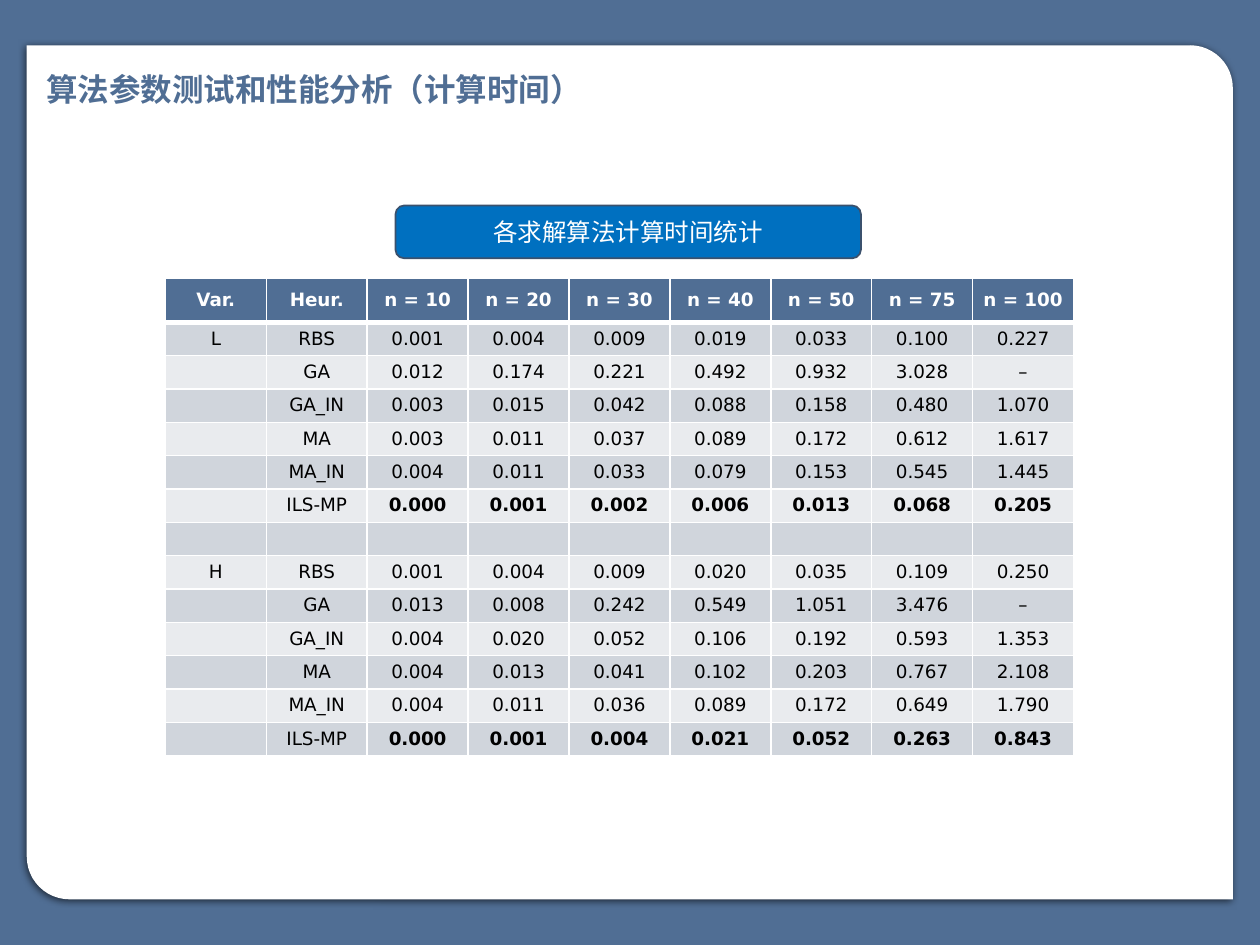
from lxml import etree
from pptx import Presentation
from pptx import util as u
from pptx.dml.color import RGBColor
from pptx.enum import shapes, text
from pptx.oxml import parse_xml
from pptx.oxml.ns import nsdecls, qn

FONT = "DejaVu Sans"
COLORS = {
    "slate": "506E94", "white": "FFFFFF", "black": "000000", "blue": "0070C0",
    "outline": "3B516D", "band_dark": "D0D5DC", "band_light": "E9EBEE",
}
HEADER = ["Var.", "Heur."] + [f"n = {n}" for n in (10, 20, 30, 40, 50, 75, 100)]
BEST = "ILS-MP"
TIMES = {
    "L": """RBS 0.001 0.004 0.009 0.019 0.033 0.100 0.227
            GA 0.012 0.174 0.221 0.492 0.932 3.028 –
            GA_IN 0.003 0.015 0.042 0.088 0.158 0.480 1.070
            MA 0.003 0.011 0.037 0.089 0.172 0.612 1.617
            MA_IN 0.004 0.011 0.033 0.079 0.153 0.545 1.445
            ILS-MP 0.000 0.001 0.002 0.006 0.013 0.068 0.205""",
    "H": """RBS 0.001 0.004 0.009 0.020 0.035 0.109 0.250
            GA 0.013 0.008 0.242 0.549 1.051 3.476 –
            GA_IN 0.004 0.020 0.052 0.106 0.192 0.593 1.353
            MA 0.004 0.013 0.041 0.102 0.203 0.767 2.108
            MA_IN 0.004 0.011 0.036 0.089 0.172 0.649 1.790
            ILS-MP 0.000 0.001 0.004 0.021 0.052 0.263 0.843""",
}


def rgb(name):
    return RGBColor.from_string(COLORS[name])


def points(box):
    return [u.Pt(length) for length in box]


def paint(target, color):
    target.fill.solid()
    target.fill.fore_color.rgb = rgb(color)


def write(paragraph, wording, size, color, bold=False, align=text.PP_ALIGN.CENTER):
    paragraph.text = wording
    paragraph.alignment = align
    font = paragraph.font
    font.name, font.size, font.bold = FONT, u.Pt(size), bold
    font.color.rgb = rgb(color)
    if not wording:  # an empty line keeps its row as low as the others
        end = etree.SubElement(paragraph._p, qn("a:endParaRPr"))
        end.set("sz", str(int(size * 100)))


def add_panel(slide, box):
    panel = slide.shapes.add_shape(shapes.MSO_SHAPE.ROUND_2_DIAG_RECTANGLE, *points(box))
    panel.adjustments[0], panel.adjustments[1] = 0.05, 0
    panel._element.spPr.get_or_add_xfrm().set("flipH", "1")
    paint(panel, "white")
    panel.line.fill.background()
    # Soft shadow below the panel
    panel._element.spPr.append(parse_xml(
        f'<a:effectLst {nsdecls("a")}><a:outerShdw blurRad="{u.Pt(4.5)}" dist="{u.Pt(1.5)}" '
        f'dir="5400000" algn="ctr" rotWithShape="0"><a:srgbClr val="{COLORS["black"]}">'
        '<a:alpha val="63000"/></a:srgbClr></a:outerShdw></a:effectLst>'))


def add_title(slide, box):
    frame = slide.shapes.add_textbox(*points(box)).text_frame
    frame.word_wrap = True
    frame.auto_size = text.MSO_AUTO_SIZE.SHAPE_TO_FIT_TEXT
    write(frame.paragraphs[0], "算法参数测试和性能分析（计算时间）", 18, "slate", True,
          text.PP_ALIGN.LEFT)


def add_caption(slide, box):
    caption = slide.shapes.add_shape(shapes.MSO_SHAPE.ROUNDED_RECTANGLE, *points(box))
    caption.shadow.inherit = False
    paint(caption, "blue")
    caption.line.color.rgb = rgb("outline")
    caption.line.width = u.Pt(1)
    caption.text_frame.vertical_anchor = text.MSO_ANCHOR.MIDDLE
    write(caption.text_frame.paragraphs[0], "各求解算法计算时间统计", 14, "white")


def add_borders(cell, top, bottom):
    for side, width in (("L", 1), ("R", 1), ("T", top), ("B", bottom)):
        cell._tc.get_or_add_tcPr().append(parse_xml(
            f'<a:ln{side} {nsdecls("a")} w="{u.Pt(width)}"><a:solidFill>'
            f'<a:srgbClr val="{COLORS["white"]}"/></a:solidFill></a:ln{side}>'))


def time_rows():
    rows = [HEADER]
    for variant, block in TIMES.items():
        if len(rows) > 1:
            rows.append([""] * len(HEADER))
        for i, line in enumerate(block.splitlines()):
            rows.append([variant if i == 0 else ""] + line.split())
    return rows


def add_times_table(slide, box, header_height):
    rows = time_rows()
    width, height = box[2:]
    table = slide.shapes.add_table(len(rows), len(HEADER), *points(box)).table
    for column in table.columns:
        column.width = u.Pt(width / len(HEADER))
    row_height = (height - header_height) / (len(rows) - 1)
    for r, values in enumerate(rows):
        is_header = r == 0
        table.rows[r].height = u.Pt(header_height if is_header else row_height)
        band = "slate" if is_header else "band_dark" if r % 2 else "band_light"
        for c, value in enumerate(values):
            cell = table.cell(r, c)
            cell.margin_left = cell.margin_right = u.Pt(5)
            cell.margin_top = cell.margin_bottom = 0
            cell.vertical_anchor = text.MSO_ANCHOR.MIDDLE
            # A heavier rule parts the header from the body
            add_borders(cell, 3 if r == 1 else 1, 3 if is_header else 1)
            paint(cell, band)
            write(cell.text_frame.paragraphs[0], value, 10.5,
                  "white" if is_header else "black",
                  is_header or (values[1] == BEST and c > 1))


def main():
    deck = Presentation()
    deck.slide_width, deck.slide_height = u.Pt(720), u.Pt(540)
    slide = deck.slides.add_slide(deck.slide_layouts[6])
    paint(slide.background, "slate")
    add_panel(slide, (15.3, 25.9, 689.2, 488))
    add_title(slide, (19.4, 36.7, 413.3, 29))
    add_times_table(slide, (94.5, 159.2, 519, 272.8), header_height=25)
    add_caption(slide, (226, 117.4, 266, 30.2))
    deck.save("out.pptx")


if __name__ == "__main__":
    main()
